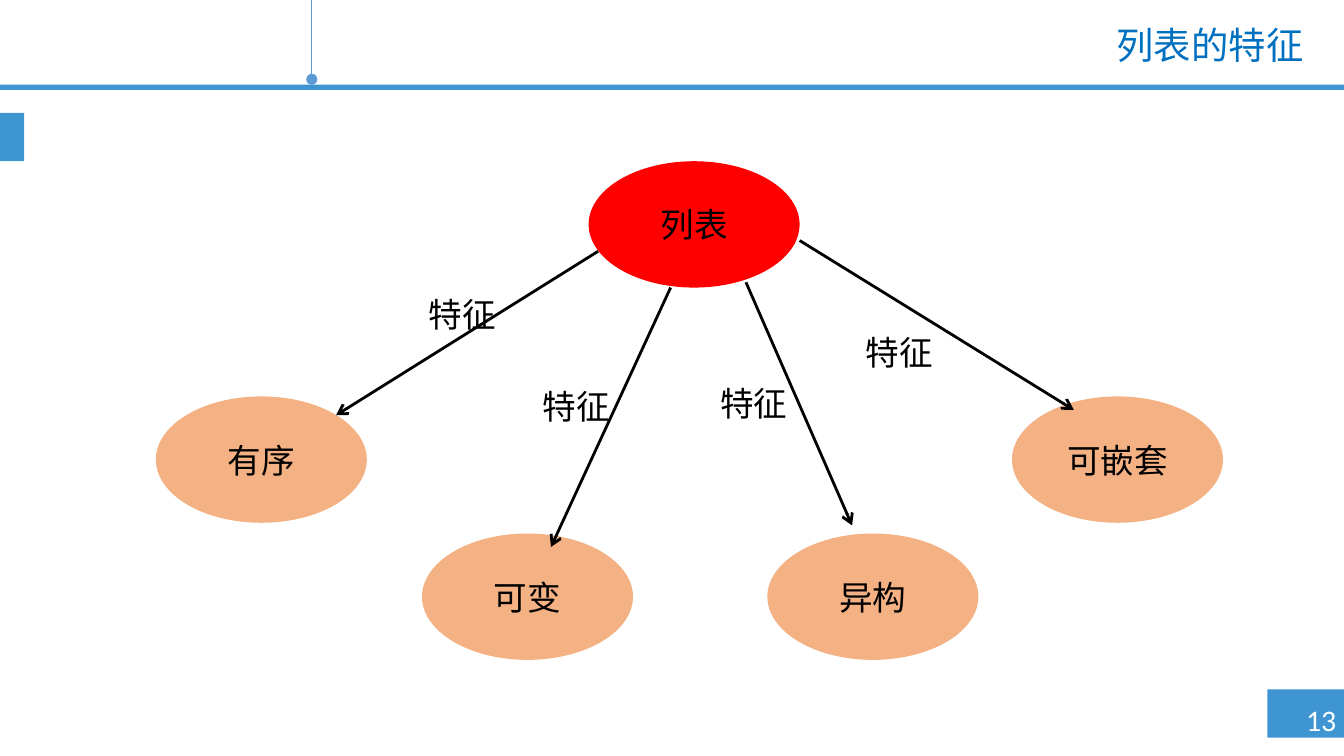
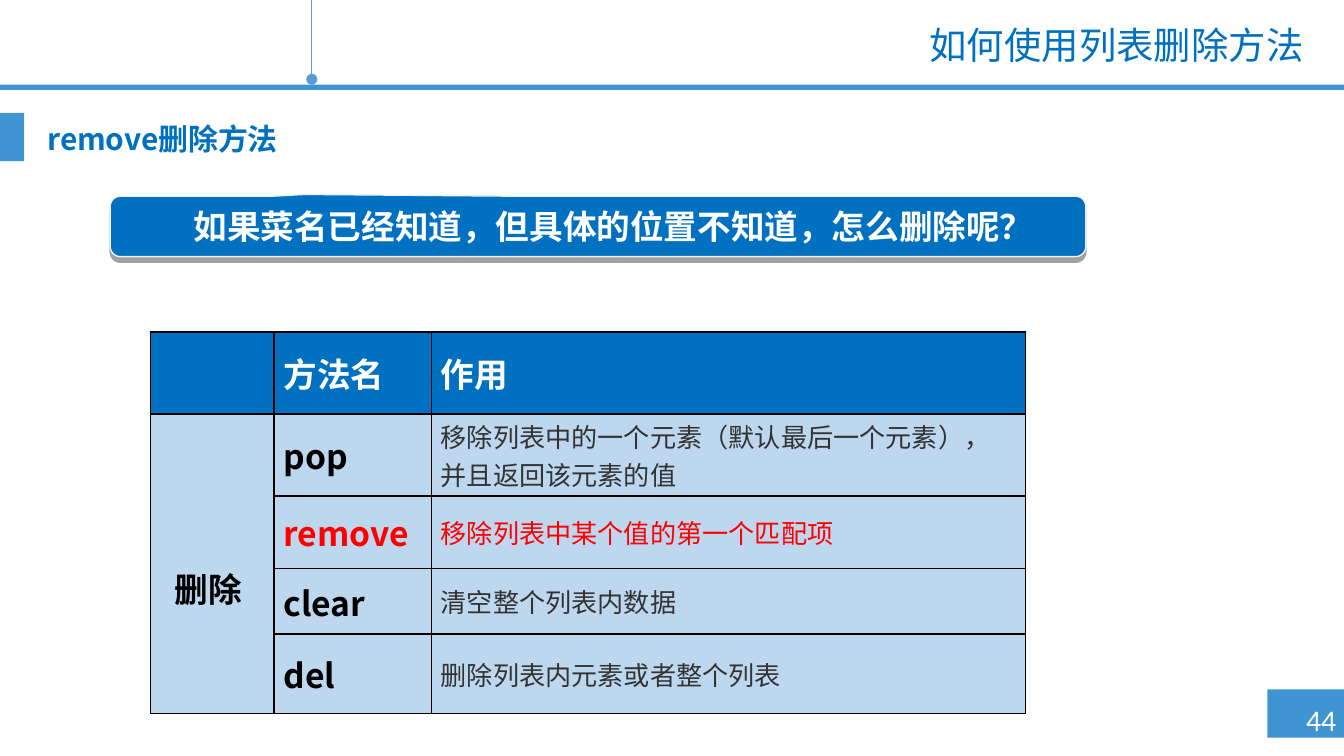
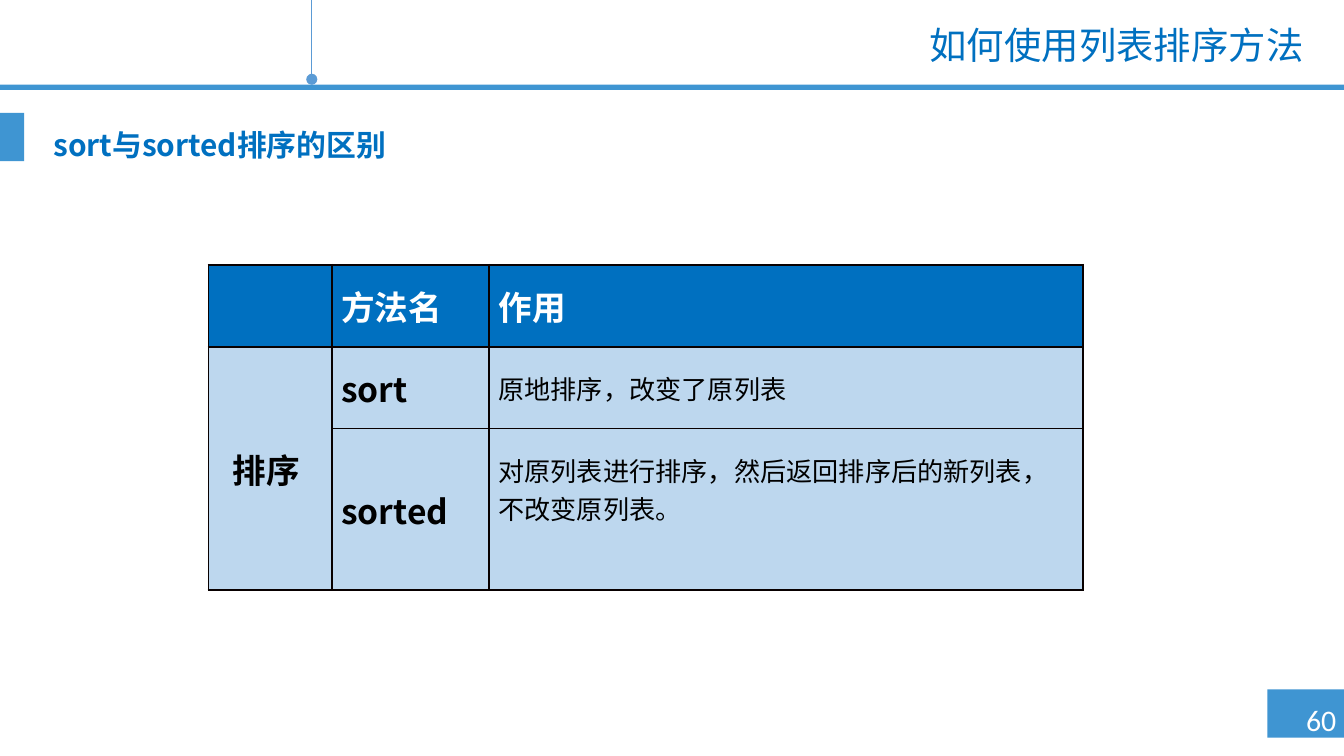
import pptx
import pptx.dml.color
import pptx.enum.shapes
import pptx.enum.text
import pptx.oxml
import pptx.oxml.ns
import pptx.util
from lxml import etree

RGB = pptx.dml.color.RGBColor
BAND = RGB(0x3F, 0x95, 0xD2)
PIN = RGB(0x5B, 0x9B, 0xD5)
BLUE = RGB(0x00, 0x70, 0xC0)
PALE = RGB(0xBD, 0xD7, 0xEE)
PEACH = RGB(0xF4, 0xB1, 0x83)
RED = RGB(0xFF, 0x00, 0x00)
BLACK = RGB(0x00, 0x00, 0x00)
EDGE = RGB(0x08, 0x00, 0x00)
GREY = RGB(0x33, 0x33, 0x33)
RIM = RGB(0xF2, 0xF2, 0xF2)
WHITE = RGB(0xFF, 0xFF, 0xFF)

SANS = "Noto Sans CJK SC"
WIDE = 10
HIGH = WIDE * 9 / 16
OVAL = (1.57, 0.94)
COLS = (0.92, 1.17, 4.42)
HEAD = ("", "方法名", "作用")

ROOT = ("列表", 4.38, 1.2, RED)
LEAVES = [
    ("有序", 1.16, 2.95, PEACH),
    ("可变", 3.14, 3.97, PEACH),
    ("可嵌套", 7.53, 2.95, PEACH),
    ("异构", 5.71, 3.97, PEACH),
]
ARROWS = [
    ((4.45, 1.87), (2.5, 3.09), (3.09, 2.14)),
    ((4.99, 2.14), (4.1, 4.07), (3.94, 2.82)),
    ((5.95, 1.79), (7.99, 3.05), (6.34, 2.42)),
    ((5.55, 2.1), (6.34, 3.91), (5.26, 2.8)),
]
ASK = "如果菜名已经知道，但具体的位置不知道，怎么删除呢？"
DROP = {
    "at": (1.12, 2.47),
    "rows": (0.61, 0.61, 0.54, 0.49, 0.59),
    "group": "删除",
    "push": 0.36,
    "lift": 0,
    "body": [
        ("pop", "移除列表中的一个元素（默认最后一个元素），并且返回该元素的值", BLACK, GREY),
        ("remove", "移除列表中某个值的第一个匹配项", RED, RED),
        ("clear", "清空整个列表内数据", BLACK, GREY),
        ("del", "删除列表内元素或者整个列表", BLACK, GREY),
    ],
}
SORT = {
    "at": (1.55, 1.97),
    "rows": (0.61, 0.61, 1.2),
    "group": "排序",
    "push": 0,
    "lift": 0.3,
    "body": [
        ("sort", "原地排序，改变了原列表", BLACK, BLACK),
        ("sorted", "对原列表进行排序，然后返回排序后的新列表，不改变原列表。", BLACK, BLACK),
    ],
}


def inch(*nums):
    return [pptx.util.Inches(n) for n in nums]


def node(up, tag, **attrs):
    return etree.SubElement(up, pptx.oxml.ns.qn(tag), attrs)


def write(frame, text, size=18, color=BLACK, font=SANS, bold=False,
          align="CENTER", anchor="TOP", wrap=True, lead=None, dent=None):
    frame.word_wrap = wrap
    frame.vertical_anchor = pptx.enum.text.MSO_ANCHOR[anchor]
    para = frame.paragraphs[0]
    para.alignment = pptx.enum.text.PP_ALIGN[align]
    if lead:
        para.line_spacing = lead
    if dent:
        props = para._p.get_or_add_pPr()
        props.set("marL", "0")
        props.set("indent", str(pptx.util.Inches(dent)))
    run = para.add_run()
    run.text = text
    run.font.size = pptx.util.Pt(size)
    run.font.bold = bold
    run.font.name = font
    run.font.color.rgb = color
    node(run._r.get_or_add_rPr(), "a:ea", typeface=SANS)


def label(slide, box, text, **form):
    write(slide.shapes.add_textbox(*inch(*box)).text_frame, text, **form)


def solid(slide, kind, box, fill):
    shape = slide.shapes.add_shape(pptx.enum.shapes.MSO_SHAPE[kind], *inch(*box))
    shape.shadow.inherit = False
    shape.fill.solid()
    shape.fill.fore_color.rgb = fill
    shape.line.fill.background()
    return shape


def link(slide, start, end, color, width, tip):
    line = slide.shapes.add_connector(
        pptx.enum.shapes.MSO_CONNECTOR.STRAIGHT, *inch(*start, *end))
    line.line.color.rgb = color
    line.line.width = pptx.util.Pt(width)
    node(line.line._get_or_add_ln(), "a:tailEnd", type=tip)
    node(line._element.spPr, "a:effectLst")


def page(deck, title, number):
    slide = deck.slides.add_slide(deck.slide_layouts[5])
    solid(slide, "RECTANGLE", (WIDE - 0.57, 5.13, 0.57, 0.36), BAND)
    solid(slide, "RECTANGLE", (0, 0.63, WIDE, 0.04), BAND)
    solid(slide, "RECTANGLE", (0, 0.84, 0.18, 0.36), BAND)
    link(slide, (2.32, 0), (2.32, 0.59), PIN, 0.75, "oval")
    label(slide, (9.57, 5.17, 0.52, 0.37), str(number), size=16,
          color=WHITE, font="Calibri", wrap=False)
    head = slide.shapes.title
    head.left, head.top, head.width, head.height = inch(2.4, 0.15, 7.4, 0.4)
    write(head.text_frame, title, size=20, color=BLUE, align="RIGHT",
          anchor="MIDDLE", lead=0.9)
    return slide


def topic(slide, box, text):
    label(slide, box, text, size=16, color=BLUE, bold=True, lead=0.9)


def oval(slide, text, left, top, fill):
    shape = solid(slide, "OVAL", (left, top, *OVAL), fill)
    write(shape.text_frame, text, anchor="MIDDLE")


def callout(slide, box, text):
    shape = solid(slide, "ROUNDED_RECTANGULAR_CALLOUT", box, BLUE)
    for i, value in enumerate((-0.3, -0.53, 0.17)):
        shape.adjustments[i] = value
    shape.line.color.rgb = RIM
    shape.line.width = pptx.util.Pt(0.75)
    glow = shape._element.spPr.find(pptx.oxml.ns.qn("a:effectLst"))
    cast = node(glow, "a:outerShdw", blurRad="0", dist="38100",
                dir="5400000", algn="t", rotWithShape="0")
    node(node(cast, "a:srgbClr", val="000000"), "a:alpha", val="37000")
    write(shape.text_frame, text, color=WHITE, bold=True, align="LEFT",
          anchor="MIDDLE", dent=0.5)


def style(cell, fill):
    props = cell._tc.get_or_add_tcPr()
    for side in "LRTB":
        edge = node(props, "a:ln" + side, w=str(pptx.util.Pt(1)))
        node(node(edge, "a:solidFill"), "a:srgbClr", val=str(EDGE))
    cell.fill.solid()
    cell.fill.fore_color.rgb = fill
    cell.margin_left, cell.margin_right, cell.margin_top, cell.margin_bottom = \
        inch(0.07, 0.07, 0, 0)
    cell.vertical_anchor = pptx.enum.text.MSO_ANCHOR.MIDDLE


def fill_cell(cell, text, **form):
    write(cell.text_frame, text, anchor="MIDDLE", **form)


def grid(slide, data):
    rows = data["rows"]
    table = slide.shapes.add_table(
        len(rows), len(COLS), *inch(*data["at"], sum(COLS), sum(rows))).table
    for col, width in zip(table.columns, COLS):
        col.width = pptx.util.Inches(width)
    for i, height in enumerate(rows):
        table.rows[i].height = pptx.util.Inches(height)
        for j in range(len(COLS)):
            style(table.cell(i, j), PALE if i else BLUE)
    for j, text in enumerate(HEAD):
        if text:
            fill_cell(table.cell(0, j), text, color=WHITE, bold=True, align="LEFT")
    group = table.cell(1, 0)
    group.merge(table.cell(len(rows) - 1, 0))
    fill_cell(group, data["group"], bold=True)
    group.margin_top, group.margin_right = inch(data["push"], 0.13)
    for i, (name, use, ink, tone) in enumerate(data["body"], 1):
        fill_cell(table.cell(i, 1), name, color=ink, bold=True, align="LEFT")
        fill_cell(table.cell(i, 2), use, size=14, color=tone, align="LEFT")
    table.cell(len(rows) - 1, 2).margin_bottom = pptx.util.Inches(data["lift"])


def main():
    deck = pptx.Presentation()
    deck.slide_width, deck.slide_height = inch(WIDE, HIGH)

    slide = page(deck, "列表的特征", 13)
    for item in [ROOT] + LEAVES:
        oval(slide, *item)
    for start, end, spot in ARROWS:
        link(slide, start, end, BLACK, 1.5, "arrow")
        label(slide, (*spot, 0.7, 0.4), "特征", font="Arial", wrap=False)

    slide = page(deck, "如何使用列表删除方法", 44)
    callout(slide, (0.82, 1.46, 7.26, 0.45), ASK)
    grid(slide, DROP)
    topic(slide, (-0.2, 0.88, 2.82, 0.48), "remove删除方法")

    slide = page(deck, "如何使用列表排序方法", 60)
    topic(slide, (0.2, 0.92, 2.87, 0.48), "sort与sorted排序的区别")
    grid(slide, SORT)

    deck.save("out.pptx")


if __name__ == "__main__":
    main()
